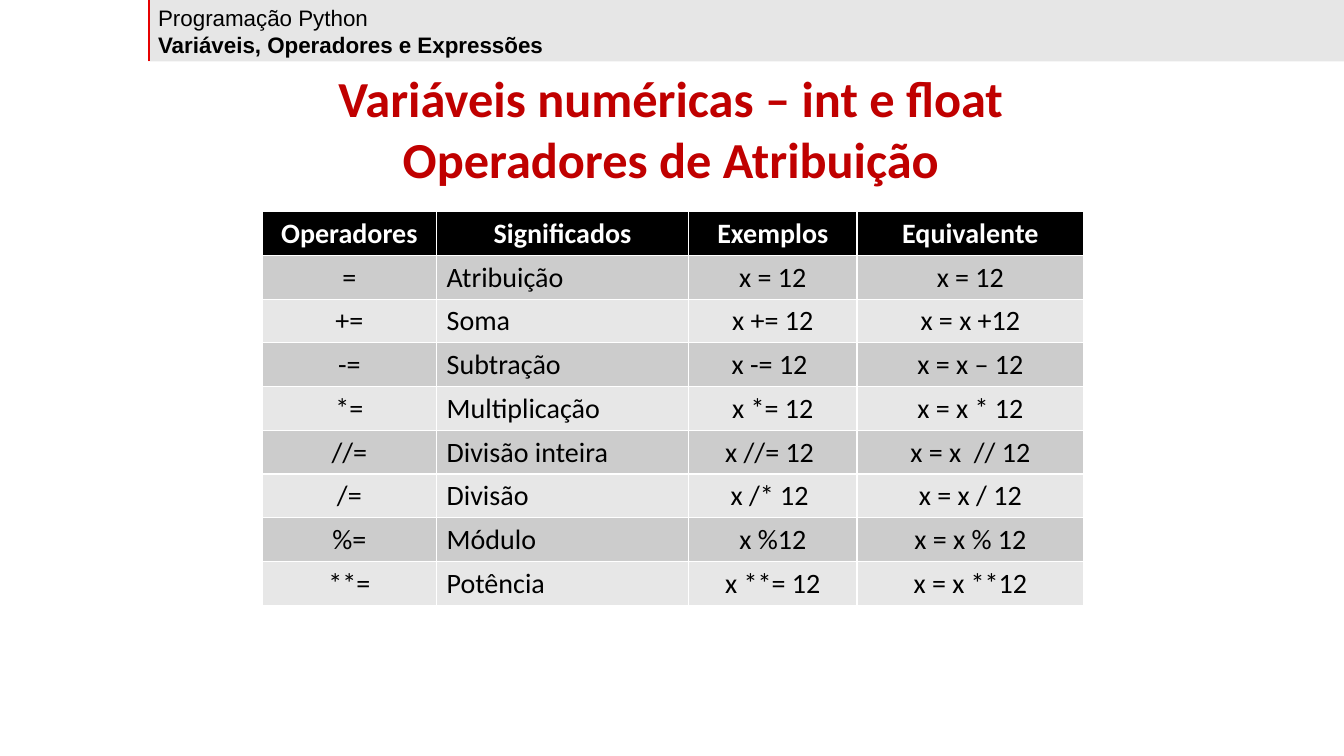
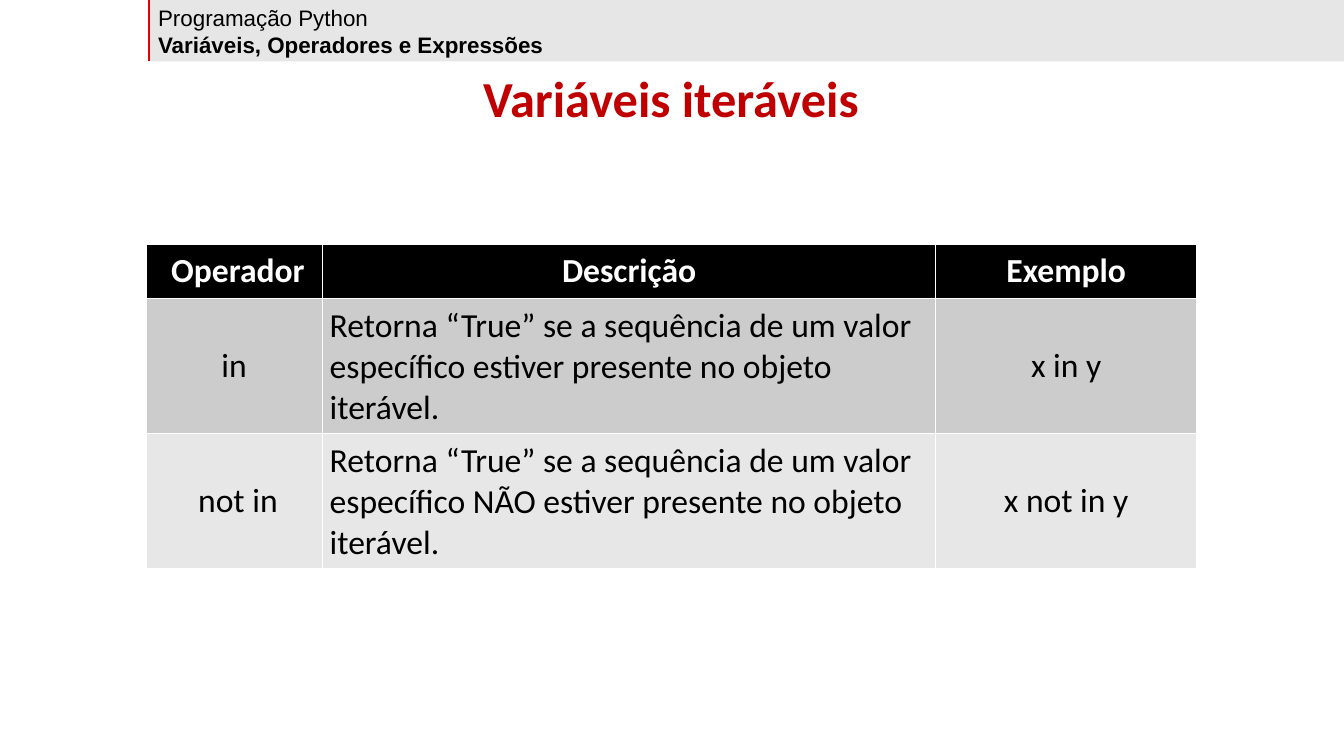
from lxml import etree
from pptx import Presentation, util as u
from pptx.dml.color import RGBColor
from pptx.enum import shapes, text
from pptx.oxml.ns import qn

W, H = 13.33, 7.5
EDGE, BAND = 1.47, 0.61  # left edge and foot of the header band
BLACK, WHITE, RED, TITLE = "000000", "FFFFFF", "FF0000", "C00000"
BODY = ["CCCCCC", "E7E7E7"]
LEFT, MID = text.PP_ALIGN.LEFT, text.PP_ALIGN.CENTER

ASSIGN = [
    ["Operadores", "Significados", "Exemplos", "Equivalente"],
    ["=", "Atribuição", "x = 12", "x = 12"],
    ["+=", "Soma", "x += 12", "x = x +12"],
    ["-=", "Subtração", "x -= 12 ", "x = x – 12"],
    ["*=", "Multiplicação", "x *= 12", "x = x * 12"],
    ["//=", "Divisão inteira", "x //= 12 ", "x = x  // 12"],
    ["/=", "Divisão", "x /* 12 ", "x = x / 12"],
    ["%=", "Módulo", "x %12", "x = x % 12"],
    ["**=", "Potência", "x **= 12", "x = x **12"],
]
MEMBER = [
    ["Operador", "Descrição", "Exemplo"],
    ["in ", "Retorna “True” se a sequência de um valor específico "
     "estiver presente no objeto iterável.", "x in y"],
    ["not in", "Retorna “True” se a sequência de um valor específico "
     "NÃO estiver presente no objeto iterável.", "x not in y"],
]


def rgb(code):
    return RGBColor.from_string(code)


def inch(*sizes):
    return [u.Inches(size) for size in sizes]


def write(para, words, size=20, font="Calibri", color=BLACK, bold=False, align=LEFT):
    para.alignment = align
    run = para.add_run()
    run.text = words
    run.font.size, run.font.name, run.font.bold = u.Pt(size), font, bold
    run.font.color.rgb = rgb(color)


def label(slide, box, lines):
    """Add a text box; each line is its words and their format."""
    frame = slide.shapes.add_textbox(*inch(*box)).text_frame
    frame.word_wrap = True
    for i, (words, look) in enumerate(lines):
        para = frame.add_paragraph() if i else frame.paragraphs[0]
        write(para, words, **look)


def header(slide, box):
    x, y, w, h = box
    # Red rule
    rule = slide.shapes.add_connector(
        shapes.MSO_CONNECTOR.STRAIGHT, *inch(x + 0.01, y, x + 0.01, y + h))
    rule.line.color.rgb, rule.line.width = rgb(RED), u.Pt(1.5)
    etree.SubElement(rule._element.spPr, qn("a:effectLst"))
    # Translucent band
    band = slide.shapes.add_shape(shapes.MSO_SHAPE.RECTANGLE, *inch(*box))
    band.shadow.inherit = False
    band.line.fill.background()
    band.fill.solid()
    band.fill.fore_color.rgb = rgb("0D0D0D")
    tint = band._element.spPr.find(".//" + qn("a:srgbClr"))
    etree.SubElement(tint, qn("a:alpha"), val="10000")
    # Course and chapter
    look = dict(size=16, font="Arial")
    label(slide, box, [("Programação Python", look),
                       ("Variáveis, Operadores e Expressões", {**look, "bold": True})])


def grid(slide, box, rows, cols, tall, size, pad=None):
    """Add a table; the second column of the body is left-aligned."""
    table = slide.shapes.add_table(len(rows), len(cols), *inch(*box)).table
    for col, wide in zip(table.columns, cols):
        col.width = u.Inches(wide)
    for r, row in enumerate(rows):
        table.rows[r].height = u.Inches(tall[min(r, 1)])
        for c, words in enumerate(row):
            cell = table.cell(r, c)
            cell.fill.solid()
            cell.fill.fore_color.rgb = rgb(BODY[(r - 1) % 2] if r else BLACK)
            if r:
                cell.vertical_anchor = text.MSO_ANCHOR.MIDDLE
            if pad:
                cell.margin_left = u.Inches(pad if c else 2 * pad)
                cell.margin_right = cell.margin_top = cell.margin_bottom = u.Inches(pad)
            write(cell.text_frame.paragraphs[0], words, size=size, bold=not r,
                  color=BLACK if r else WHITE, align=LEFT if r and c == 1 else MID)


def page(deck, title, *table, **look):
    slide = deck.slides.add_slide(deck.slide_layouts[6])
    header(slide, (EDGE, -0.01, W - EDGE, BAND + 0.01))
    style = dict(size=36, color=TITLE, bold=True, align=MID)
    label(slide, (0, BAND + 0.01, W - 0.02, 0.65 * len(title)),
          [(line, style) for line in title])
    grid(slide, *table, **look)


def main():
    deck = Presentation()
    deck.slide_width, deck.slide_height = inch(W, H)
    page(deck, ["Variáveis numéricas – int e float", "Operadores de Atribuição"],
         (2.6, 2.1, 8.15, 3.9), ASSIGN, [1.73, 2.5, 1.67, 2.25],
         tall=(0.43, 0.43), size=20)
    page(deck, ["Variáveis iteráveis"],
         (1.45, 2.42, 10.42, 3.2), MEMBER, [1.75, 6.08, 2.59],
         tall=(0.53, 1.33), size=24, pad=0.07)
    deck.save("out.pptx")


if __name__ == "__main__":
    main()
